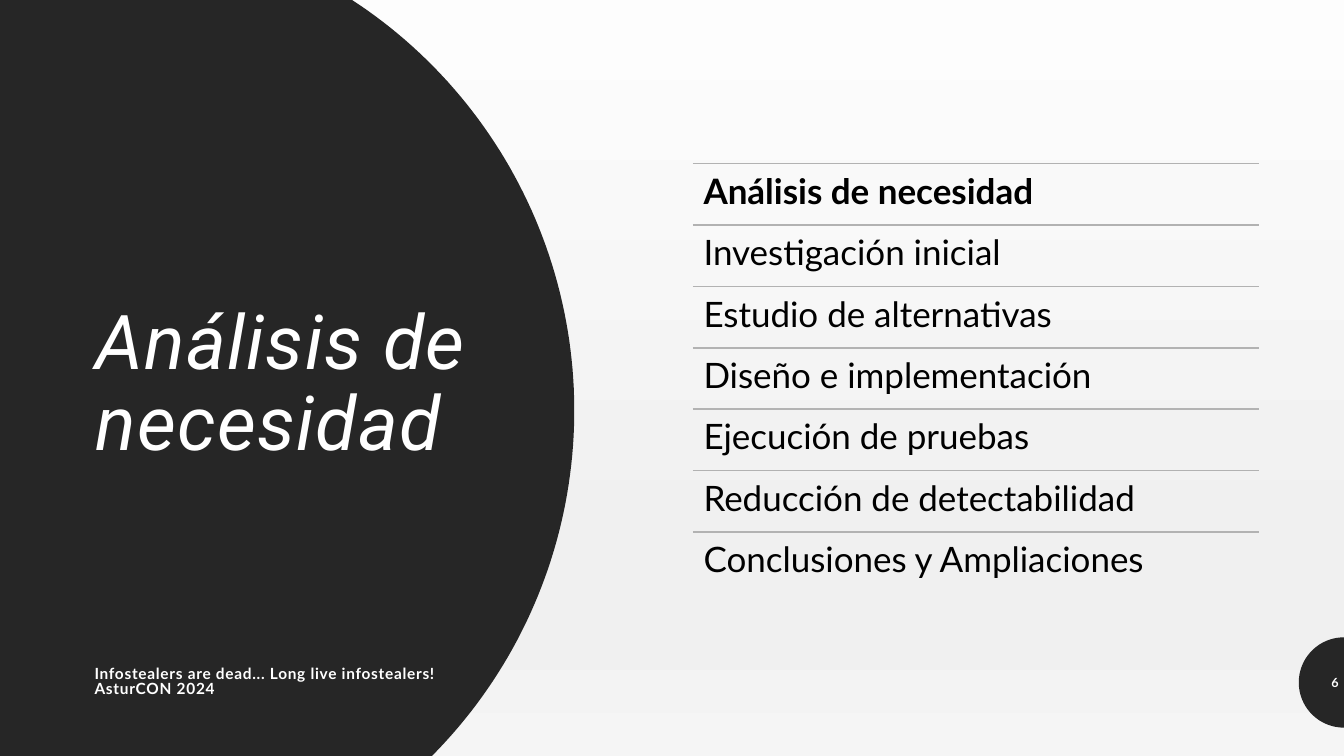
from math import asin, cos, pi, sin

from lxml import etree
from pptx import Presentation
from pptx.dml.color import RGBColor
from pptx.enum.shapes import MSO_CONNECTOR
from pptx.enum.text import MSO_ANCHOR as ANCHOR, PP_ALIGN as ALIGN
from pptx.oxml.ns import qn
from pptx.util import Pt

PX = 9525
SLIDE_WIDTH, SLIDE_HEIGHT = 1280, 720
COLORS = {
    "dark": "262626",
    "white": "FFFFFF",
    "black": "000000",
    "rule": "B2B2B2",
    "top": "FDFDFD",
    "middle": "F0F0F0",
    "bottom": "F5F5F5",
}
BACKGROUND_STOPS = [(0, "top"), (74, "middle"), (83, "middle"), (100, "bottom")]
AGENDA = [
    "Análisis de necesidad",
    "Investigación inicial",
    "Estudio de alternativas",
    "Diseño e implementación",
    "Ejecución de pruebas",
    "Reducción de detectabilidad",
    "Conclusiones y Ampliaciones",
]
CURRENT = 0


def color(name):
    return RGBColor.from_string(COLORS[name])


def paint_background(page):
    fill = page.background.fill
    fill.gradient()
    gradient = page.background._cSld.find(".//" + qn("a:gradFill"))
    stops = gradient.find(qn("a:gsLst"))
    for stop in list(stops):
        stops.remove(stop)
    for percent, name in BACKGROUND_STOPS:
        stop = etree.SubElement(stops, qn("a:gs"), pos=str(percent * 1000))
        etree.SubElement(stop, qn("a:srgbClr"), val=COLORS[name])
    gradient.find(qn("a:lin")).set("ang", str(90 * 60000))


def arc(center_x, center_y, radius, start, end, steps=90):
    angles = [start + (end - start) * step / steps for step in range(steps + 1)]
    return [(center_x + radius * cos(angle), center_y + radius * sin(angle))
            for angle in angles]


def add_outline(page, points):
    first, *rest = [(round(x * PX), round(y * PX)) for x, y in points]
    builder = page.shapes.build_freeform(*first, scale=1.0)
    builder.add_line_segments(rest, close=True)
    shape = builder.convert_to_shape()
    shape.shadow.inherit = False
    shape.fill.solid()
    shape.fill.fore_color.rgb = color("dark")
    shape.line.fill.background()


def add_text(page, box, text, size, font="Lato", ink="white", bold=False,
             italic=False, anchor=ANCHOR.MIDDLE, align=ALIGN.LEFT,
             line_spacing=1.0, tracking=0, insets=(10, 5)):
    frame = page.shapes.add_textbox(*(round(length * PX) for length in box)).text_frame
    frame.word_wrap = True
    frame.vertical_anchor = anchor
    frame.margin_left = frame.margin_right = insets[0] * PX
    frame.margin_top = frame.margin_bottom = insets[1] * PX
    para = frame.paragraphs[0]
    para.text = text
    para.alignment = align
    para.line_spacing = line_spacing
    para.font.name = font
    para.font.size = Pt(size)
    para.font.bold = bold
    para.font.italic = italic
    para.font.color.rgb = color(ink)
    if tracking:
        para._p.pPr.find(qn("a:defRPr")).set("spc", str(tracking))


def add_rule(page, left, top, width):
    start_x, end_x, y = (round(value * PX) for value in (left, left + width, top))
    rule = page.shapes.add_connector(MSO_CONNECTOR.STRAIGHT, start_x, y, end_x, y)
    rule.line.color.rgb = color("rule")
    rule.line.width = Pt(1)
    etree.SubElement(rule._element.spPr, qn("a:effectLst"))


def title_panel(page, left, top, width, height):
    radius, center_y = 467, top + 391
    center_x = left + width - radius
    start = asin((top - center_y) / radius)
    end = asin((top + height - center_y) / radius)
    edge = arc(center_x, center_y, radius, start, end)
    add_outline(page, [(left, top), *edge, (left, top + height)])
    add_text(page, (left + 81, top + 271, 408, 179), "Análisis de necesidad", 54,
             font="Roboto", italic=True, anchor=ANCHOR.BOTTOM, line_spacing=0.9,
             tracking=100)
    add_text(page, (left + 80, top + 631, 381, 38),
             "Infostealers are dead... Long live infostealers! AsturCON 2024", 11,
             bold=True, line_spacing=0.8, tracking=50)


def page_badge(page, left, top, width, height):
    middle = top + height / 2
    add_outline(page, arc(left + width, middle, width, pi / 2, 3 * pi / 2))
    add_text(page, (left, middle - 19, width, 38), "6", 9, bold=True,
             align=ALIGN.RIGHT, insets=(5, 5))


def agenda(page, left, top, width, height):
    row_height = height / len(AGENDA)
    for index, topic in enumerate(AGENDA):
        row_top = top + index * row_height
        add_rule(page, left, row_top, width)
        add_text(page, (left, row_top, width, row_height), topic, 25, ink="black",
                 bold=index == CURRENT, anchor=ANCHOR.TOP, line_spacing=0.9,
                 insets=(10, 10))


def main():
    deck = Presentation()
    deck.slide_width = SLIDE_WIDTH * PX
    deck.slide_height = SLIDE_HEIGHT * PX
    page = deck.slides.add_slide(deck.slide_layouts[6])
    paint_background(page)
    title_panel(page, 0, 0, 547, SLIDE_HEIGHT)
    page_badge(page, 1237, 607, 43, 86)
    agenda(page, 660, 156, 539, 409)
    deck.save("out.pptx")


if __name__ == "__main__":
    main()
